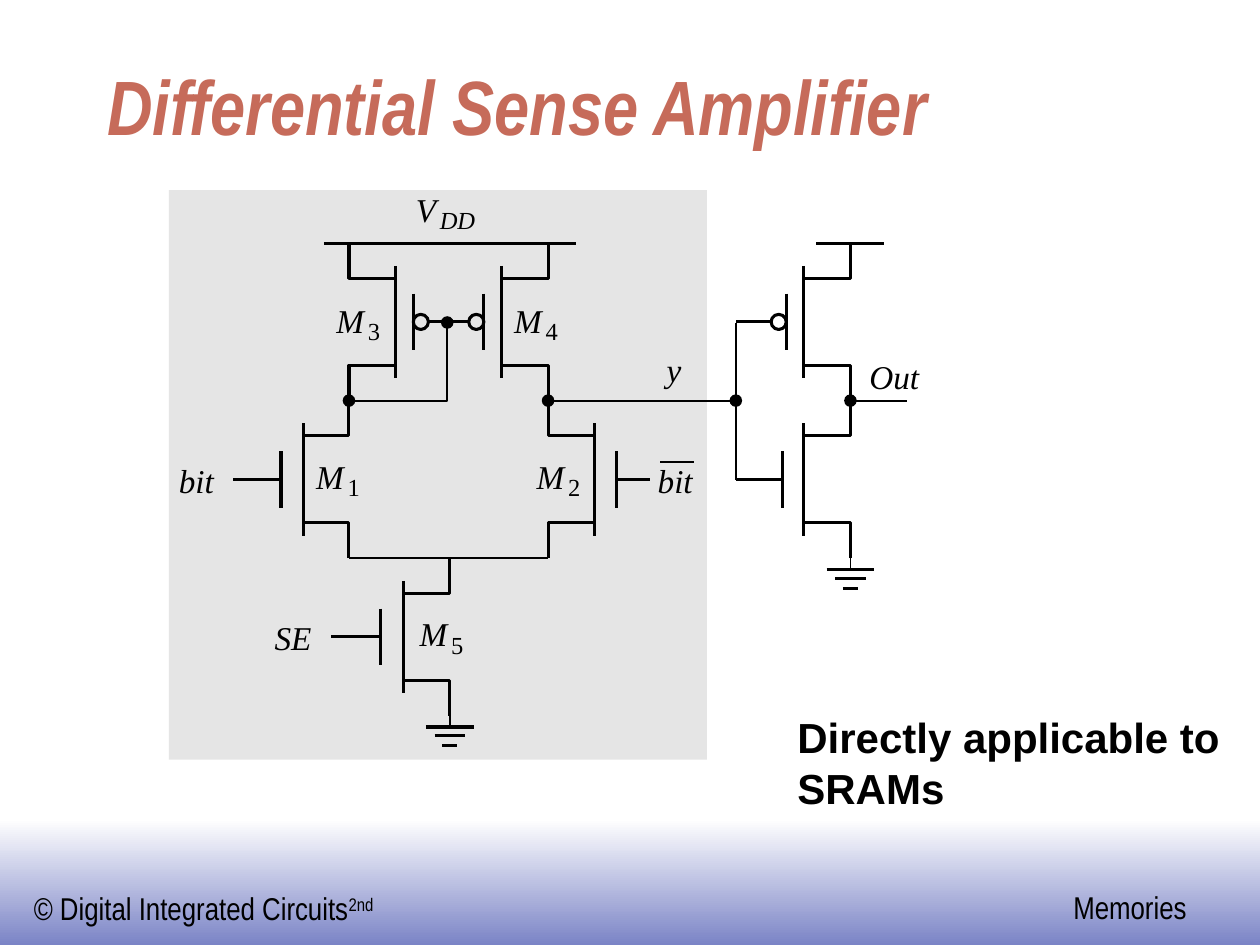
from typing import NamedTuple

import pptx
import pptx.dml.color
import pptx.enum.shapes
import pptx.enum.text
import pptx.oxml
import pptx.util
from pptx.util import Inches

RGBColor = pptx.dml.color.RGBColor
MSO_SHAPE = pptx.enum.shapes.MSO_SHAPE

BLACK = RGBColor(0x00, 0x00, 0x00)
WHITE = RGBColor(0xFF, 0xFF, 0xFF)
PANEL_GRAY = RGBColor(0xE5, 0xE5, 0xE5)
FOOTER_BLUE = RGBColor(0x7B, 0x84, 0xC6)
TITLE_RED = RGBColor(0xC6, 0x6B, 0x5A)

THICK = 1.75
THIN = 1.13
DEVICE_H = 1.25
LEAD_H = 0.28
BUBBLE = 0.12
DOT = 0.1
GROUND_BARS = ((0.09, 0.19), (0.16, 0.12), (0.24, 0.06))


class Transistor(NamedTuple):
    channel: float
    rail: float
    top: float
    gate: float
    gate_end: float
    pmos: bool = False


class Wire(NamedTuple):
    x1: float
    y1: float
    x2: float
    y2: float
    width: float = THIN


class Label(NamedTuple):
    text: str
    x: float
    y: float
    w: float
    sub: str = ""
    sub_w: float = 0.1
    sub_italic: bool = False


TRANSISTORS = [
    Transistor(3.2, 3.57, 4.43, 3.02, 2.63),
    Transistor(2.41, 2.77, 3.18, 2.23, 1.85),
    Transistor(3.14, 2.77, 1.93, 3.28, 3.55, True),
    Transistor(3.98, 4.35, 1.93, 3.84, 3.55, True),
    Transistor(4.72, 4.35, 3.18, 4.89, 5.16),
    Transistor(6.38, 6.75, 1.93, 6.24, 5.84, True),
    Transistor(6.38, 6.75, 3.18, 6.21, 5.84),
]

WIRES = [
    Wire(2.77, 4.43, 4.35, 4.43),
    Wire(2.57, 1.93, 4.57, 1.93, THICK),
    Wire(6.48, 1.93, 7.02, 1.93, THICK),
    Wire(4.35, 3.18, 5.84, 3.18),
    Wire(6.75, 3.18, 7.2, 3.18),
    Wire(5.84, 2.56, 5.84, 3.81),
    Wire(5.24, 3.67, 5.51, 3.67),
]

GROUNDS = [(3.57, 5.68), (6.75, 4.43)]
NODES = [(2.77, 3.18), (4.35, 3.18), (3.55, 2.56), (5.84, 3.18), (6.75, 3.18)]

LABELS = [
    Label("M", 4.08, 2.38, 0.25, "4"),
    Label("M", 2.51, 3.62, 0.25, "1"),
    Label("M", 3.33, 4.87, 0.25, "5"),
    Label("M", 2.67, 2.38, 0.25, "3"),
    Label("M", 4.26, 3.62, 0.25, "2"),
    Label("V", 3.3, 1.5, 0.19, "DD", 0.32, True),
    Label("bit", 5.22, 3.65, 0.29),
    Label("bit", 1.42, 3.65, 0.29),
    Label("SE", 2.18, 4.9, 0.34),
    Label("Out", 6.9, 2.83, 0.44),
    Label("y", 5.29, 2.77, 0.13),
]


def add_wire(s, wire: Wire) -> None:
    line = s.shapes.add_connector(
        pptx.enum.shapes.MSO_CONNECTOR.STRAIGHT,
        Inches(wire.x1), Inches(wire.y1), Inches(wire.x2), Inches(wire.y2))
    line.line.color.rgb = BLACK
    line.line.width = pptx.util.Pt(wire.width)
    pptx.oxml.ns.qn("a:effectLst")
    line._element.spPr.append(pptx.oxml.parse_xml(
        '<a:effectLst xmlns:a="http://schemas.openxmlformats.org/drawingml/2006/main"/>'))


def add_bend(s, points: list[tuple[float, float]], width: float) -> None:
    start, *rest = [(Inches(x), Inches(y)) for x, y in points]
    builder = s.shapes.build_freeform(*start)
    builder.add_line_segments(rest, close=False)
    sp = builder.convert_to_shape()
    sp.shadow.inherit = False
    sp.fill.background()
    sp.line.color.rgb = BLACK
    sp.line.width = pptx.util.Pt(width)


def add_circle(s, cx: float, cy: float, size: float, filled: bool) -> None:
    sp = s.shapes.add_shape(MSO_SHAPE.OVAL, Inches(cx - size / 2), Inches(cy - size / 2),
                            Inches(size), Inches(size))
    sp.shadow.inherit = False
    if filled:
        sp.fill.solid()
        sp.fill.fore_color.rgb = BLACK
        sp.line.fill.background()
    else:
        sp.fill.background()
        sp.line.color.rgb = BLACK
        sp.line.width = pptx.util.Pt(THICK)


def add_transistor(s, t: Transistor) -> None:
    bottom = t.top + DEVICE_H
    middle = t.top + DEVICE_H / 2
    for end, inner in ((t.top, t.top + LEAD_H), (bottom, bottom - LEAD_H)):
        add_bend(s, [(t.rail, end), (t.rail, inner), (t.channel, inner)], THICK)
    add_wire(s, Wire(t.channel, t.top + 0.18, t.channel, bottom - 0.18, THICK))
    add_wire(s, Wire(t.gate, t.top + 0.4, t.gate, bottom - 0.4, THICK))
    lead = t.gate
    if t.pmos:
        side = 1 if t.gate_end > t.gate else -1
        add_circle(s, t.gate + side * BUBBLE / 2, middle, BUBBLE, False)
        lead += side * BUBBLE
    add_wire(s, Wire(lead, middle, t.gate_end, middle, THICK))


def add_ground(s, x: float, y: float) -> None:
    add_wire(s, Wire(x, y, x, y + GROUND_BARS[0][0]))
    for drop, half in GROUND_BARS:
        add_wire(s, Wire(x - half, y + drop, x + half, y + drop, THICK))


def add_text(s, text: str, x: float, y: float, w: float, h: float, size: float,
             font: str, bold: bool = False, italic: bool = False, inset: bool = True):
    tf = s.shapes.add_textbox(Inches(x), Inches(y), Inches(w), Inches(h)).text_frame
    tf.word_wrap = False
    tf.auto_size = pptx.enum.text.MSO_AUTO_SIZE.SHAPE_TO_FIT_TEXT
    if not inset:
        tf.margin_left = tf.margin_right = tf.margin_top = tf.margin_bottom = 0
    p = tf.paragraphs[0]
    p.text = text
    style_font(p.font, size, font, BLACK, bold, italic)
    return p


def style_font(font, size: float, name: str, color: RGBColor, bold: bool, italic: bool) -> None:
    font.size = pptx.util.Pt(size)
    font.name = name
    font.color.rgb = color
    font.bold = bold
    font.italic = italic


def add_label(s, label: Label) -> None:
    add_text(s, label.text, label.x, label.y, label.w, 0.32, 19,
             "Times New Roman", italic=True, inset=False)
    if label.sub:
        add_text(s, label.sub, label.x + label.w, label.y + 0.13, label.sub_w, 0.23, 14,
                 "Times New Roman", italic=label.sub_italic, inset=False)


def add_block(s, x: float, y: float, w: float, h: float):
    sp = s.shapes.add_shape(MSO_SHAPE.RECTANGLE, Inches(x), Inches(y), Inches(w), Inches(h))
    sp.shadow.inherit = False
    sp.line.fill.background()
    return sp


def add_footer(s) -> None:
    band = add_block(s, 0, 6.5, 10, 1)
    band.fill.gradient()
    band.fill.gradient_angle = 270
    for stop, color in zip(band.fill.gradient_stops, (WHITE, FOOTER_BLUE)):
        stop.color.rgb = color
    p = add_text(s, "© Digital Integrated Circuits", 0.17, 7.01, 2.93, 0.4, 18, "Arial Narrow")
    r = p.add_run()
    r.text = "2nd"
    r.font._element.set("baseline", "30000")
    add_text(s, "Memories", 8.42, 7, 1.1, 0.4, 18, "Arial Narrow")


def add_title(s, text: str) -> None:
    title = s.shapes.title
    title.left, title.top, title.width, title.height = map(Inches, (0.75, 0.33, 8.5, 0.92))
    tf = title.text_frame
    tf.vertical_anchor = pptx.enum.text.MSO_ANCHOR.BOTTOM
    p = tf.paragraphs[0]
    p.text = text
    p.alignment = pptx.enum.text.PP_ALIGN.LEFT
    style_font(p.font, 44, "Arial Narrow", TITLE_RED, True, True)


def main() -> None:
    prs = pptx.Presentation()
    prs.slide_width, prs.slide_height = Inches(10), Inches(7.5)
    s = prs.slides.add_slide(prs.slide_layouts[5])
    add_footer(s)
    add_title(s, "Differential Sense Amplifier")
    add_text(s, "Directly applicable to\vSRAMs", 6.23, 5.6, 3.55, 0.9, 24, "Arial", bold=True)
    panel = add_block(s, 1.34, 1.51, 4.27, 4.52)
    panel.fill.solid()
    panel.fill.fore_color.rgb = PANEL_GRAY
    for x, y in GROUNDS:
        add_ground(s, x, y)
    for transistor in TRANSISTORS:
        add_transistor(s, transistor)
    for wire in WIRES:
        add_wire(s, wire)
    add_bend(s, [(2.77, 3.18), (3.55, 3.18), (3.55, 2.56)], THIN)
    for x, y in NODES:
        add_circle(s, x, y, DOT, True)
    for label in LABELS:
        add_label(s, label)
    prs.save("out.pptx")


if __name__ == "__main__":
    main()
